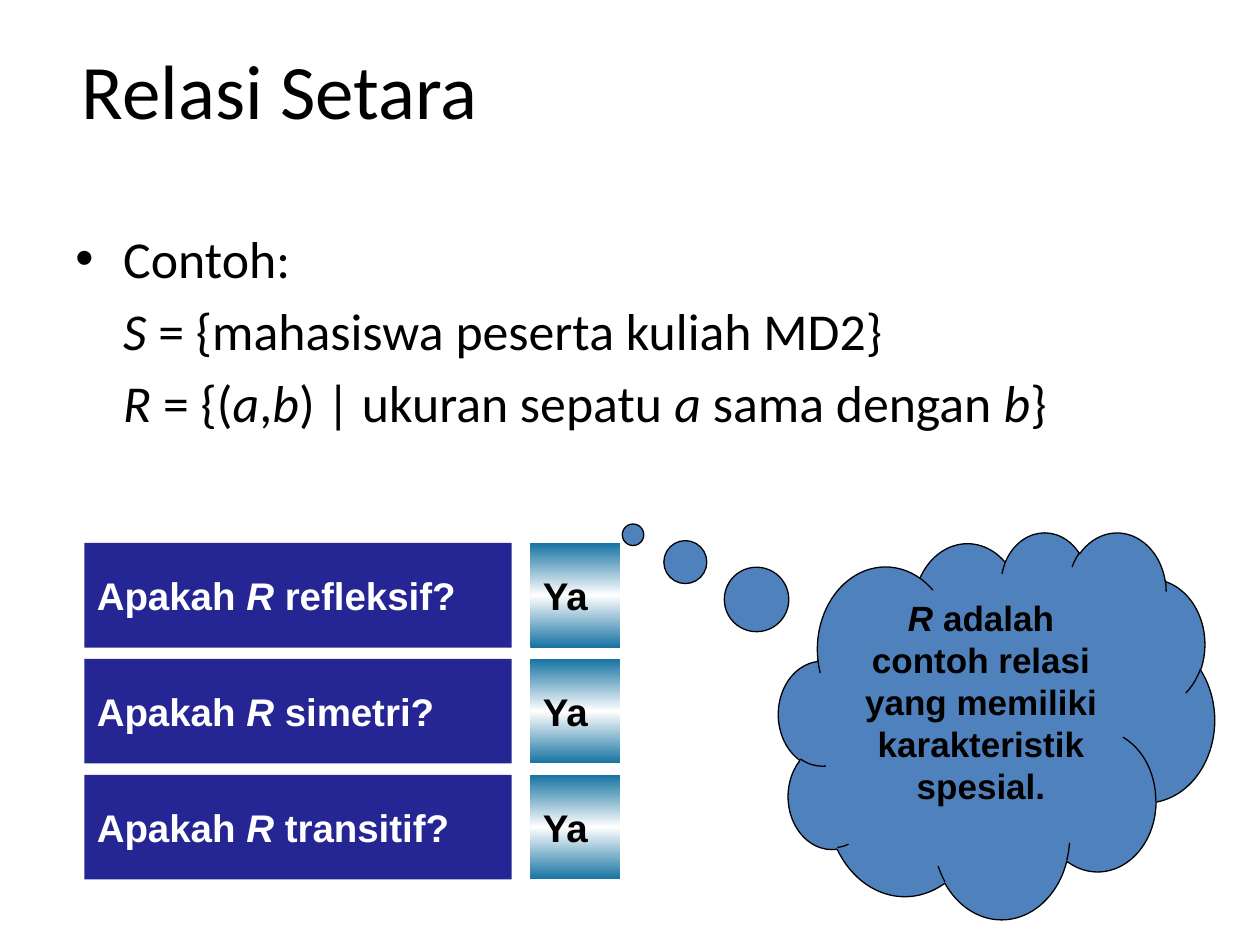
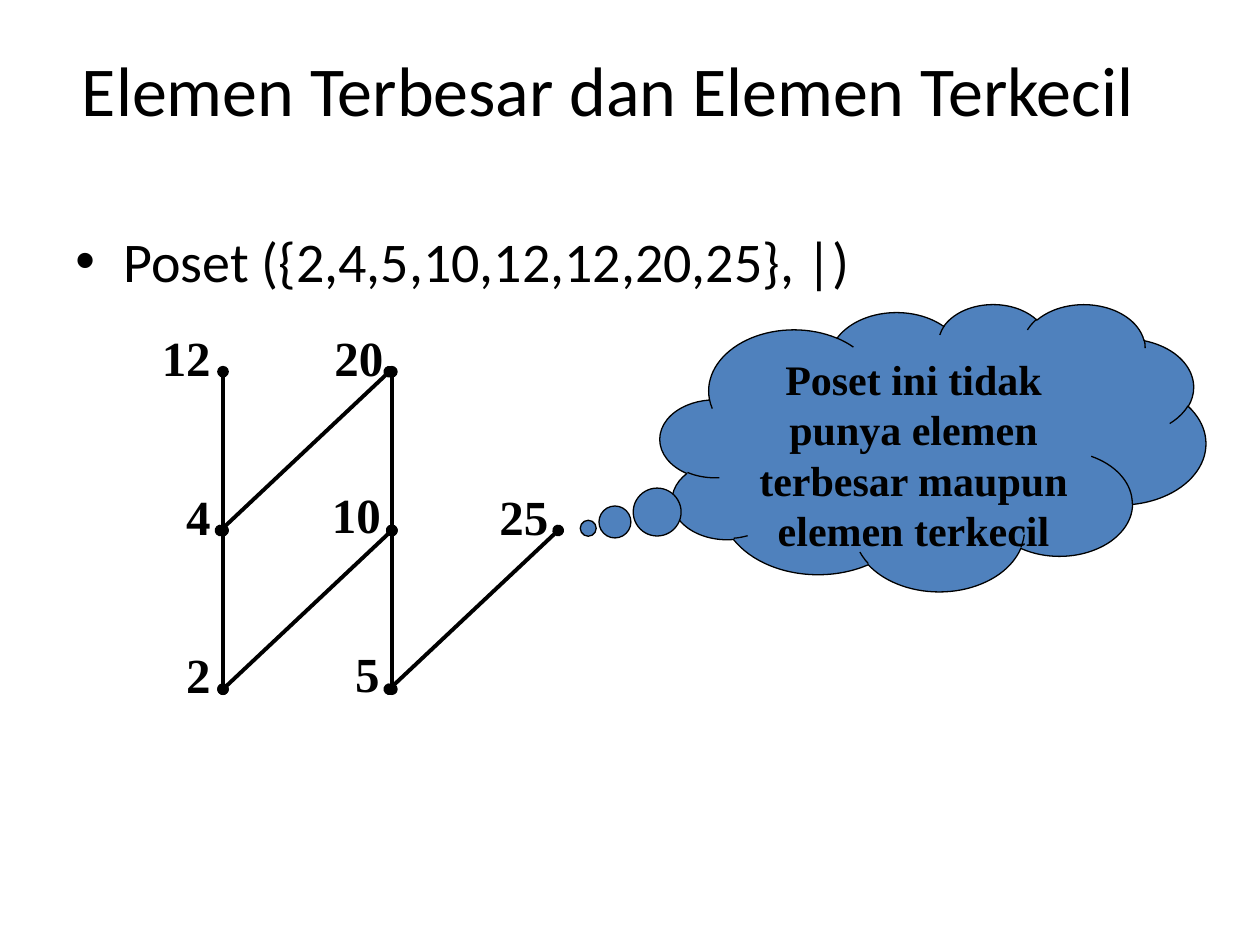
from copy import deepcopy
from dataclasses import dataclass

import pptx
import pptx.dml.color
import pptx.enum.shapes
import pptx.enum.text
import pptx.oxml
import pptx.oxml.ns
import pptx.util

Inches = pptx.util.Inches
Pt = pptx.util.Pt
Align = pptx.enum.text.PP_ALIGN
Anchor = pptx.enum.text.MSO_ANCHOR
Kind = pptx.enum.shapes.MSO_SHAPE

COLORS = {
    "ink": "000000",
    "paper": "FFFFFF",
    "navy": "252593",
    "teal": "1673A2",
    "cloud": "4F81BD",
}
SANS, BOLD, SERIF = "Calibri", "Arial", "Times New Roman"


@dataclass
class Style:
    font: str
    size: float
    color: str = "ink"
    bold: bool = False
    align: Align = Align.LEFT


@dataclass
class Box:
    left: float
    top: float
    width: float
    height: float

    def place(self) -> tuple:
        return tuple(Inches(n) for n in (self.left, self.top, self.width, self.height))


@dataclass
class Cloud:
    box: Box
    tail: tuple[float, float]
    text: str
    style: Style


@dataclass
class Node:
    col: int
    row: int
    right: float = 0
    up: float = 0


@dataclass
class Edge:
    start: str
    end: str
    shift: float = 0


def rgb(name: str) -> pptx.dml.color.RGBColor:
    return pptx.dml.color.RGBColor.from_string(COLORS[name])


def add_xml(parent, tag: str, attrs: str = "") -> None:
    space = pptx.oxml.ns.nsdecls("a")
    parent.append(pptx.oxml.parse_xml(f"<a:{tag} {space} {attrs}/>"))


# Text: asterisks enclose italic parts
def write(para, text: str, style: Style) -> None:
    para.alignment = style.align
    for i, part in enumerate(text.split("*")):
        if not part:
            continue
        run = para.add_run()
        run.text = part
        run.font.name = style.font
        run.font.size = Pt(style.size)
        run.font.bold = style.bold
        run.font.italic = i % 2 == 1
        run.font.color.rgb = rgb(style.color)


def add_title(deck, text: str, size: float):
    slide = deck.slides.add_slide(deck.slide_layouts[5])
    title = slide.shapes.title
    title.left, title.top, title.width, title.height = Box(0.55, 0.08, 9, 1.25).place()
    title.text_frame.vertical_anchor = Anchor.MIDDLE
    write(title.text_frame.paragraphs[0], text, Style(SANS, size))
    return slide


def add_body(slide, lines: list[str], size: float, height: float) -> None:
    frame = slide.shapes.add_textbox(*Box(0.5, 1.75, 9, height).place()).text_frame
    frame.word_wrap = True
    for i, line in enumerate(lines):
        para = frame.add_paragraph() if i else frame.paragraphs[0]
        props = para._p.get_or_add_pPr()
        props.set("marL", str(Inches(0.38)))
        if i:
            para.space_before = Pt(5.5)
        else:
            props.set("indent", str(-Inches(0.38)))
            add_xml(props, "buFont", 'typeface="Arial"')
            add_xml(props, "buChar", 'char="•"')
        write(para, line, Style(SANS, size))


def add_shape(slide, kind, box: Box, text: str, style: Style, anchor=Anchor.MIDDLE):
    shape = slide.shapes.add_shape(kind, *box.place())
    shape.shadow.inherit = False
    shape.line.fill.background()
    shape.text_frame.word_wrap = True
    shape.text_frame.vertical_anchor = anchor
    write(shape.text_frame.paragraphs[0], text, style)
    return shape


def fill_solid(shape, color: str) -> None:
    shape.fill.solid()
    shape.fill.fore_color.rgb = rgb(color)


def fill_glow(shape) -> None:
    shape.fill.gradient()
    shape.fill.gradient_angle = 90
    stops = shape._element.find(".//" + pptx.oxml.ns.qn("a:gsLst"))
    stops.append(deepcopy(stops[0]))
    for i, (stop, color) in enumerate(zip(shape.fill.gradient_stops, ("teal", "paper", "teal"))):
        stop.position = i / 2
        stop.color.rgb = rgb(color)


def add_cloud(slide, cloud: Cloud) -> None:
    shape = add_shape(slide, Kind.CLOUD_CALLOUT, cloud.box, cloud.text, cloud.style, Anchor.TOP)
    shape.adjustments[0], shape.adjustments[1] = cloud.tail
    fill_solid(shape, "cloud")
    shape.line.color.rgb = rgb("ink")
    shape.line.width = Pt(0.75)


# Hasse diagram grid
def spot(node: Node) -> tuple[float, float]:
    return 1.77 + 1.34 * node.col, 2.95 + 1.26 * node.row


def add_edge(group, edge: Edge, nodes: dict[str, Node]) -> None:
    x1, y1 = spot(nodes[edge.start])
    x2, y2 = spot(nodes[edge.end])
    line = group.shapes.add_connector(
        pptx.enum.shapes.MSO_CONNECTOR.STRAIGHT,
        Inches(x1 + edge.shift), Inches(y1), Inches(x2 + edge.shift), Inches(y2))
    line.line.color.rgb = rgb("ink")
    line.line.width = Pt(2.25)
    for tag in ("headEnd", "tailEnd"):
        add_xml(line.line._get_or_add_ln(), tag, 'type="oval"')
    add_xml(line._element.spPr, "effectLst")


def add_label(group, name: str, node: Node) -> None:
    x, y = spot(node)
    width = 0.31 + 0.24 * len(name)
    box = Box(x + node.right - width, y - 0.4 - node.up, width, 0.57)
    frame = group.shapes.add_textbox(*box.place()).text_frame
    frame.word_wrap = True
    write(frame.paragraphs[0], name, Style(SERIF, 28, bold=True, align=Align.RIGHT))


def add_relation(deck) -> None:
    slide = add_title(deck, "Relasi Setara", 44)
    add_body(slide, [
        "Contoh:",
        "*S* = {mahasiswa peserta kuliah MD2}",
        "*R* = {(*a*,*b*) | ukuran sepatu *a* sama dengan *b*}",
    ], 29.6, 1.73)

    # Questions and answers
    for i, trait in enumerate(("refleksif", "simetri", "transitif")):
        top = 4.31 + 0.92 * i
        reply = add_shape(slide, Kind.RECTANGLE, Box(4.21, top, 0.71, 0.83), "Ya",
                          Style(BOLD, 22, bold=True))
        fill_glow(reply)
        query = add_shape(slide, Kind.RECTANGLE, Box(0.67, top, 3.39, 0.83),
                          f"Apakah *R *{trait}?", Style(BOLD, 22, "paper", True))
        fill_solid(query, "navy")

    add_cloud(slide, Cloud(
        Box(6.18, 4.22, 3.46, 3.07), (-0.834, -0.492),
        "*R* adalah contoh relasi yang memiliki karakteristik spesial.",
        Style(BOLD, 20, bold=True, align=Align.CENTER)))


def add_poset(deck) -> None:
    slide = add_title(deck, "Elemen Terbesar dan Elemen Terkecil", 40)

    # Diagram
    nodes = {
        "2": Node(0, 2),
        "5": Node(1, 2, 0, 0.01),
        "4": Node(0, 1),
        "12": Node(0, 0),
        "10": Node(1, 1, 0.01, 0.01),
        "20": Node(1, 0, 0.03),
        "25": Node(2, 1),
    }
    edges = [
        Edge("2", "4"), Edge("4", "12"), Edge("5", "10"), Edge("10", "20"),
        Edge("2", "10"), Edge("4", "20", -0.02), Edge("5", "25", -0.02),
    ]
    group = slide.shapes.add_group_shape()
    for edge in edges:
        add_edge(group, edge, nodes)
    for name, node in nodes.items():
        add_label(group, name, node)

    add_cloud(slide, Cloud(
        Box(5.24, 2.41, 4.33, 2.28), (-0.632, 0.282),
        "Poset ini tidak punya elemen terbesar maupun elemen terkecil",
        Style(SERIF, 24, bold=True, align=Align.CENTER)))
    add_body(slide, ["Poset ({2,4,5,10,12,12,20,25}, |)"], 32, 0.86)


def main() -> None:
    deck = pptx.Presentation()
    deck.slide_width, deck.slide_height = Inches(10), Inches(7.5)
    add_relation(deck)
    add_poset(deck)
    deck.save("out.pptx")


if __name__ == "__main__":
    main()
